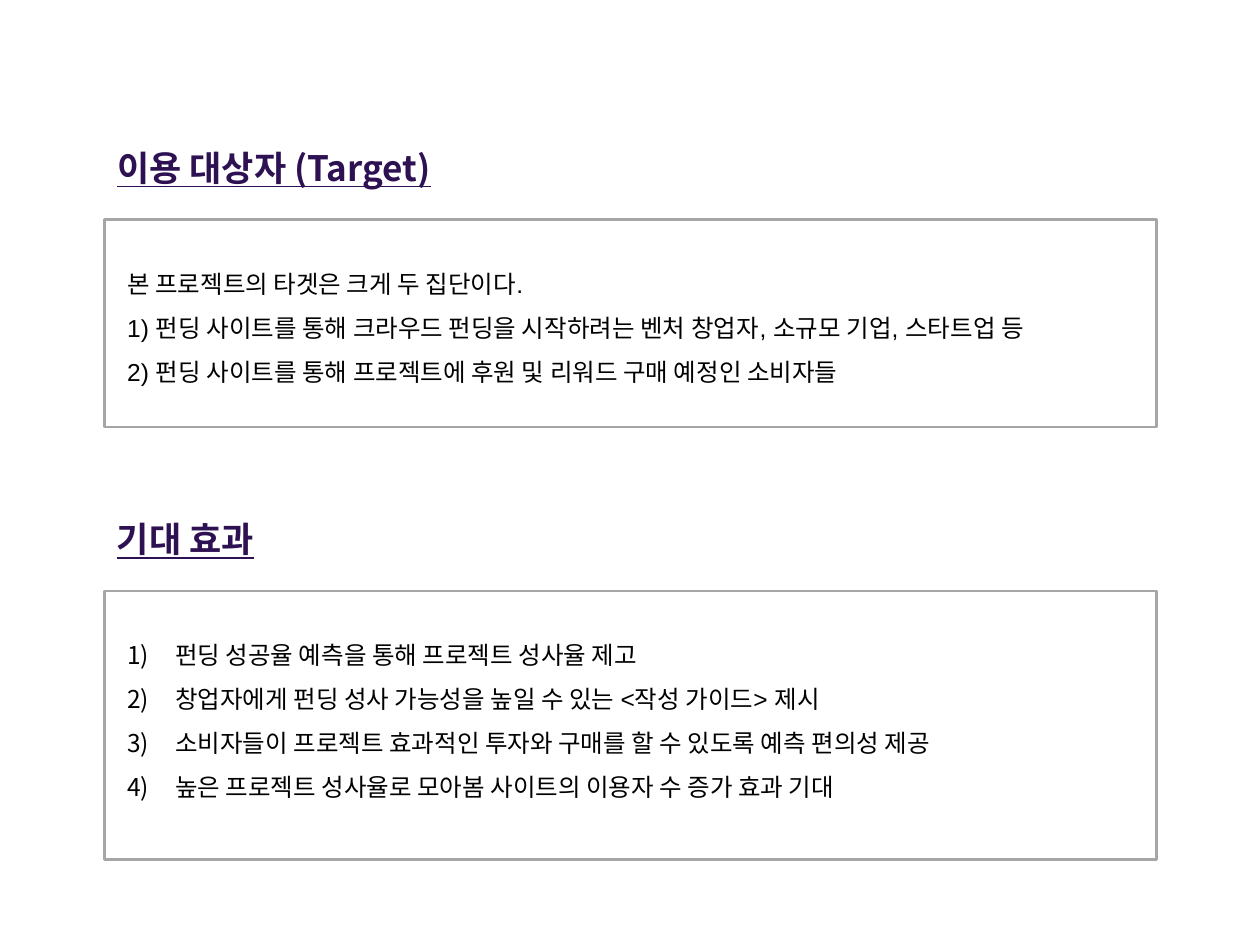
from pptx import Presentation
from pptx.dml.color import RGBColor
from pptx.enum.shapes import MSO_SHAPE as Shape
from pptx.enum.text import MSO_ANCHOR as Anchor, MSO_AUTO_SIZE as Fit, PP_ALIGN as Align
from pptx.oxml.ns import qn
from pptx.util import Inches, Pt
from lxml.etree import SubElement as Sub


def color(code):
    return RGBColor.from_string(code)


class Deck:
    """Hold the style and the current slide, and add its elements."""

    ink, text, edge = "2D1152", "000000", "A6A6A6"
    head_font, body_font = "Noto Sans CJK KR", "Arial"

    def __init__(self, slide):
        self.slide = slide

    def fill(self, shape, place, lines):
        shape.left, shape.top, shape.width, shape.height = map(Inches, place)
        frame = shape.text_frame
        frame.text = "\n".join(lines)
        frame.word_wrap = True
        frame.auto_size = Fit.NONE
        frame.vertical_anchor = Anchor.TOP
        for para in frame.paragraphs:
            para.alignment = Align.LEFT
            para.space_before = Pt(0)
        return frame.paragraphs

    def head(self, shape, top, words):
        para = self.fill(shape, (0.83, top, 2.97, 0.44), [words])[0]
        font = para.font
        font.name, font.size = self.head_font, Pt(20)
        font.bold = font.underline = True
        font.color.rgb = color(self.ink)
        Sub(font._element, qn("a:ea"), typeface=self.head_font)

    def list(self, shape, top, high, lines, count=False):
        for para in self.fill(shape, (0.91, top, 8.47, high), lines):
            para.line_spacing = 1.5
            font = para.font
            font.name, font.size = self.body_font, Pt(14)
            font.color.rgb = color(self.text)
            props = para._p.get_or_add_pPr()
            dent = Inches(0.38) if count else 0
            props.set("marL", str(dent))
            props.set("indent", str(-dent))
            if count:
                marks = [Sub(props, qn("a:buFont"), typeface=self.head_font),
                         Sub(props, qn("a:buAutoNum"), type="arabicParenR")]
            else:
                marks = [Sub(props, qn("a:buNone"))]
            for mark in marks:
                font._element.addprevious(mark)

    def box(self, top, high):
        box = self.slide.shapes.add_shape(
            Shape.RECTANGLE, *map(Inches, (0.83, top, 8.35, high)))
        box.shadow.inherit = False
        box.fill.background()
        box.line.color.rgb = color(self.edge)
        box.line.width = Pt(1.5)


show = Presentation()
show.slide_width, show.slide_height = Inches(10), Inches(7.5)
slide = show.slides.add_slide(show.slide_layouts[3])
deck = Deck(slide)
title, users, gains = slide.placeholders

deck.head(title, 1.11, "이용 대상자 (Target)")
deck.box(1.74, 1.65)
deck.list(users, 1.97, 1.16, [
    "본 프로젝트의 타겟은 크게 두 집단이다.",
    "1) 펀딩 사이트를 통해 크라우드 펀딩을 시작하려는 벤처 창업자, 소규모 기업, 스타트업 등",
    "2) 펀딩 사이트를 통해 프로젝트에 후원 및 리워드 구매 예정인 소비자들",
])
deck.head(slide.shapes.add_textbox(0, 0, 0, 0), 4.06, "기대 효과")
deck.box(4.69, 2.13)
deck.list(gains, 4.91, 1.51, [
    "펀딩 성공율 예측을 통해 프로젝트 성사율 제고",
    "창업자에게 펀딩 성사 가능성을 높일 수 있는 <작성 가이드> 제시",
    "소비자들이 프로젝트 효과적인 투자와 구매를 할 수 있도록 예측 편의성 제공",
    "높은 프로젝트 성사율로 모아봄 사이트의 이용자 수 증가 효과 기대",
], count=True)
show.save("out.pptx")
